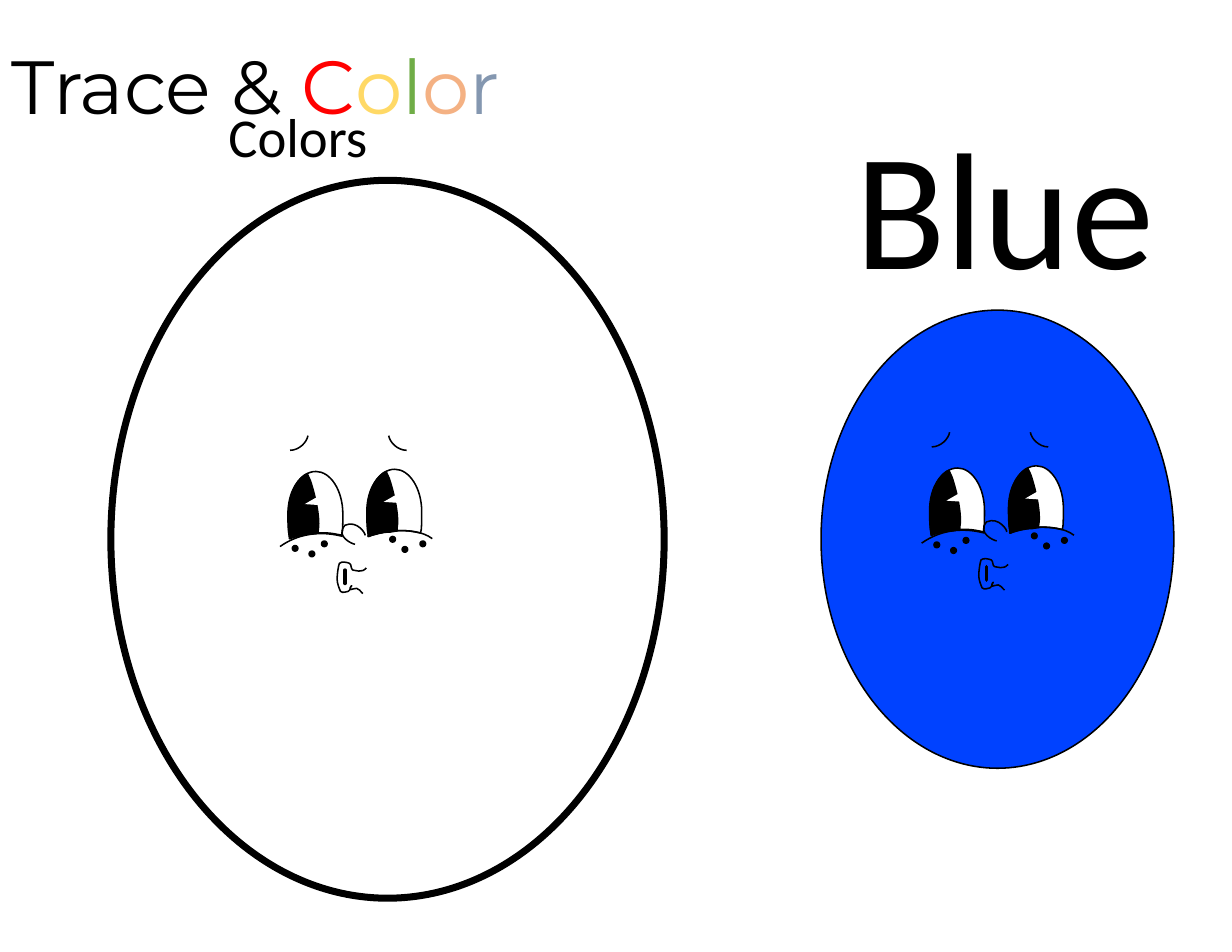
from lxml import etree
from pptx import Presentation
from pptx.dml.color import RGBColor
from pptx.enum.shapes import MSO_CONNECTOR, MSO_SHAPE
from pptx.enum.text import MSO_ANCHOR, MSO_AUTO_SIZE, PP_ALIGN
from pptx.oxml.ns import qn
from pptx.util import Pt

OVAL, WEDGE = MSO_SHAPE.OVAL, MSO_SHAPE.ISOSCELES_TRIANGLE
LEFT, CENTER = PP_ALIGN.LEFT, PP_ALIGN.CENTER

HEX = {"black": "000000", "white": "FFFFFF", "blue": "0042FF", "red": "FF0000",
       "yellow": "FFD966", "green": "70AD47", "orange": "F4B183", "slate": "8497B0"}

# Each text: runs, box, size, font, alignment
TITLE = ([("Trace & ", "black"), ("C", "red"), ("o", "yellow"), ("l", "green"),
          ("o", "orange"), ("r", "slate")],
         (0, 21.6, 396.7, 66.2), 48.4, "Montserrat", LEFT)
NAME = ([("Blue", "black")], (542.9, 62.6, 213.8, 136.8), 107, "Calibri", LEFT)
TOPIC = ([("Colors", "black")], (7.2, 62.6, 368.6, 49.7), 35.2, "Calibri", CENTER)

# Each oval: box, fill, line width
BODIES = [((527.8, 199.4, 226.8, 294.5), "blue", 1),
          ((71.3, 115.9, 355.7, 461.5), "white", 4.5)]
FACES = [(591.8, 277.9), (179.3, 280.1)]

# Face parts are measured from the corner of the face, eye parts from that of the eye.
# An outline is a start and then steps: one point is a line, three are a curve.
BROW = [(18.7, 0), [(18, 4.3), (13, 9.4), (7.2, 9.4)]]
BROWS = 89.3  # the left and right x of the brows add up to this
LEFT_LID = [(0.7, 71.3), [(5, 68.4), (18.7, 59), (41, 64.8)]]
RIGHT_LID = [(56.9, 64.8), [(61.2, 62.6), (86.4, 56.9), (98.6, 66.2)]]
LEFT_EYE, RIGHT_EYE = (5.8, 23), (56.5, 21.6)
WHITE = [(18, 0), [(27.4, 0), (35.3, 12.2), (35.3, 27.4)],
         [(35.3, 31), (35.3, 34.6), (35.1, 38.2)], [(34.6, 41)], [(31, 40.3)],
         [(20.9, 38.2), (8.6, 40.3), (2.9, 42.5)], [(1.4, 43.2)], [(0.5, 38.9)],
         [(0.5, 35.3), (0.5, 31), (0.4, 27.4)], [(0.4, 12.2), (8.1, 0), (18, 0)]]
PUPIL = [(12.4, 1.4), [(14.4, 5.8)], [(18, 16.6), (20.9, 31), (19.4, 38.2)],
         [(19.4, 39.6)], [(15.1, 40.3)], [(10.1, 40.3), (5.8, 41.8), (2.9, 42.5)],
         [(1, 43.2)], [(0.5, 38.9)], [(0, 35.3), (0, 31), (0, 27.4)],
         [(0, 15.8), (4.5, 6.5), (10.8, 2.2)], [(12.4, 1.4)]]
GLINT = (13.2, 13, 7.9, 13)
NOSE = [(49, 69.8), [(47.5, 69.8), (36, 64.8), (42.5, 57.6)],
        [(50.4, 54), (56.2, 63.4), (55.4, 64.1)]]
MOUTH = [(56.2, 85), [(53.3, 88.6), (49, 86.4), (47.5, 86.4)],
         [(46.1, 85.7), (46.8, 82.8), (45.4, 82.1)],
         [(43.9, 81.4), (40.3, 80.6), (38.9, 82.1)],
         [(38.2, 83.5), (37.4, 89.3), (37.4, 92.2)],
         [(37.4, 95), (38.9, 98.6), (39.6, 100.1)],
         [(41, 101.5), (43.9, 100.1), (44.6, 100.1)],
         [(46.1, 99.4), (46.1, 96.5), (46.8, 96.5)],
         [(46.8, 95.8), (43.9, 100.1), (47.5, 98.6)],
         [(51.1, 96.5), (53.3, 101.5), (54, 101.5)]]
LIPS = (42.5, 86.4, 95)  # x, top, bottom
LEFT_DOTS = [(8.6, 70.6), (19.4, 74.2), (27.4, 67.7)]
RIGHT_DOTS = [(71.3, 64.8), (79.2, 71.3), (90.7, 67.7)]
DOT = 3.6
STEPS = 12


def color(name):
    return RGBColor.from_string(HEX[name])


def paint(shape, fill=None, width=1):
    shape.shadow.inherit = False
    if fill:
        shape.fill.solid()
        shape.fill.fore_color.rgb = color(fill)
    else:
        shape.fill.background()
    if width:
        shape.line.color.rgb = color("black")
        shape.line.width = Pt(width)
    else:
        shape.line.fill.background()


def add_preset(shapes, kind, box, fill, width=1):
    shape = shapes.add_shape(kind, *map(Pt, box))
    paint(shape, fill, width)
    return shape


def trace(outline):
    """Sample the curves of an outline, to find how far it reaches."""
    points = [outline[0]]
    for step in outline[1:]:
        if len(step) == 1:
            points += step
            continue
        knots = [points[-1], *step]
        for i in range(1, STEPS + 1):
            t = i / STEPS
            u = 1 - t
            parts = (u ** 3, 3 * u * u * t, 3 * u * t * t, t ** 3)
            points.append(tuple(sum(w * k[axis] for w, k in zip(parts, knots))
                                for axis in (0, 1)))
    return points


def add_path(shapes, outline, x, y, fill=None):
    """Size a freeform by its traced points, then give it true curves."""
    points = [(Pt(x + px), Pt(y + py)) for px, py in trace(outline)]
    pen = shapes.build_freeform(*points[0], scale=1.0)
    pen.add_line_segments(points[1:], close=False)
    shape = pen.convert_to_shape()
    path = shape._element.spPr.find(".//" + qn("a:path"))
    for child in list(path):
        path.remove(child)
    for i, step in enumerate([outline[:1], *outline[1:]]):
        tag = "a:moveTo" if i == 0 else "a:lnTo" if len(step) == 1 else "a:cubicBezTo"
        part = etree.SubElement(path, qn(tag))
        for px, py in step:
            etree.SubElement(part, qn("a:pt"), x=str(Pt(x + px) - shape.left),
                             y=str(Pt(y + py) - shape.top))
    if fill:
        etree.SubElement(path, qn("a:close"))
    paint(shape, fill)


def add_eye(shapes, x, y):
    add_path(shapes, WHITE, x, y, "white")
    add_path(shapes, PUPIL, x, y, "black")
    left, top, wide, high = GLINT
    glint = add_preset(shapes, WEDGE, (x + left, y + top, wide, high), "white", 0)
    glint.rotation = 77
    glint._element.spPr.find(qn("a:xfrm")).set("flipV", "1")


def add_dots(shapes, dots, x, y):
    for dx, dy in dots:
        add_preset(shapes, OVAL, (x + dx, y + dy, DOT, DOT), "black")


def add_face(slide, x, y):
    shapes = slide.shapes.add_group_shape().shapes
    mirror = [(BROWS - BROW[0][0], BROW[0][1]), [(BROWS - px, py) for px, py in BROW[1]]]
    add_dots(shapes, LEFT_DOTS, x, y)
    for outline in (LEFT_LID, BROW, mirror):
        add_path(shapes, outline, x, y)
    add_eye(shapes, x + RIGHT_EYE[0], y + RIGHT_EYE[1])
    add_path(shapes, RIGHT_LID, x, y)
    add_eye(shapes, x + LEFT_EYE[0], y + LEFT_EYE[1])
    add_path(shapes, NOSE, x, y)
    add_dots(shapes, RIGHT_DOTS, x, y)
    add_path(shapes, MOUTH, x, y)
    dx, top, low = LIPS
    lips = shapes.add_connector(MSO_CONNECTOR.STRAIGHT, Pt(x + dx), Pt(y + top),
                                Pt(x + dx), Pt(y + low))
    lips.line.color.rgb = color("black")
    lips.line.width = Pt(2.25)
    lips._element.spPr.find(qn("a:ln")).set("cap", "rnd")
    etree.SubElement(lips._element.spPr, qn("a:effectLst"))


def write(shape, runs, box, size, font, align):
    shape.left, shape.top, shape.width, shape.height = map(Pt, box)
    frame = shape.text_frame
    frame.word_wrap = True
    frame.auto_size = MSO_AUTO_SIZE.SHAPE_TO_FIT_TEXT
    frame.vertical_anchor = MSO_ANCHOR.TOP
    para = frame.paragraphs[0]
    para.alignment = align
    for text, tint in runs:
        run = para.add_run()
        run.text = text
        run.font.size = Pt(size)
        run.font.name = font
        run.font.color.rgb = color(tint)


def add_text(slide, item):
    write(slide.shapes.add_textbox(*map(Pt, item[1])), *item)


def main():
    deck = Presentation()
    deck.slide_width, deck.slide_height = Pt(792), Pt(612)
    slide = deck.slides.add_slide(deck.slide_layouts[5])
    write(slide.shapes.title, *TITLE)
    add_text(slide, NAME)
    for box, fill, width in BODIES:
        add_preset(slide.shapes, OVAL, box, fill, width)
    for x, y in FACES:
        add_face(slide, x, y)
    add_text(slide, TOPIC)
    deck.save("out.pptx")


if __name__ == "__main__":
    main()
